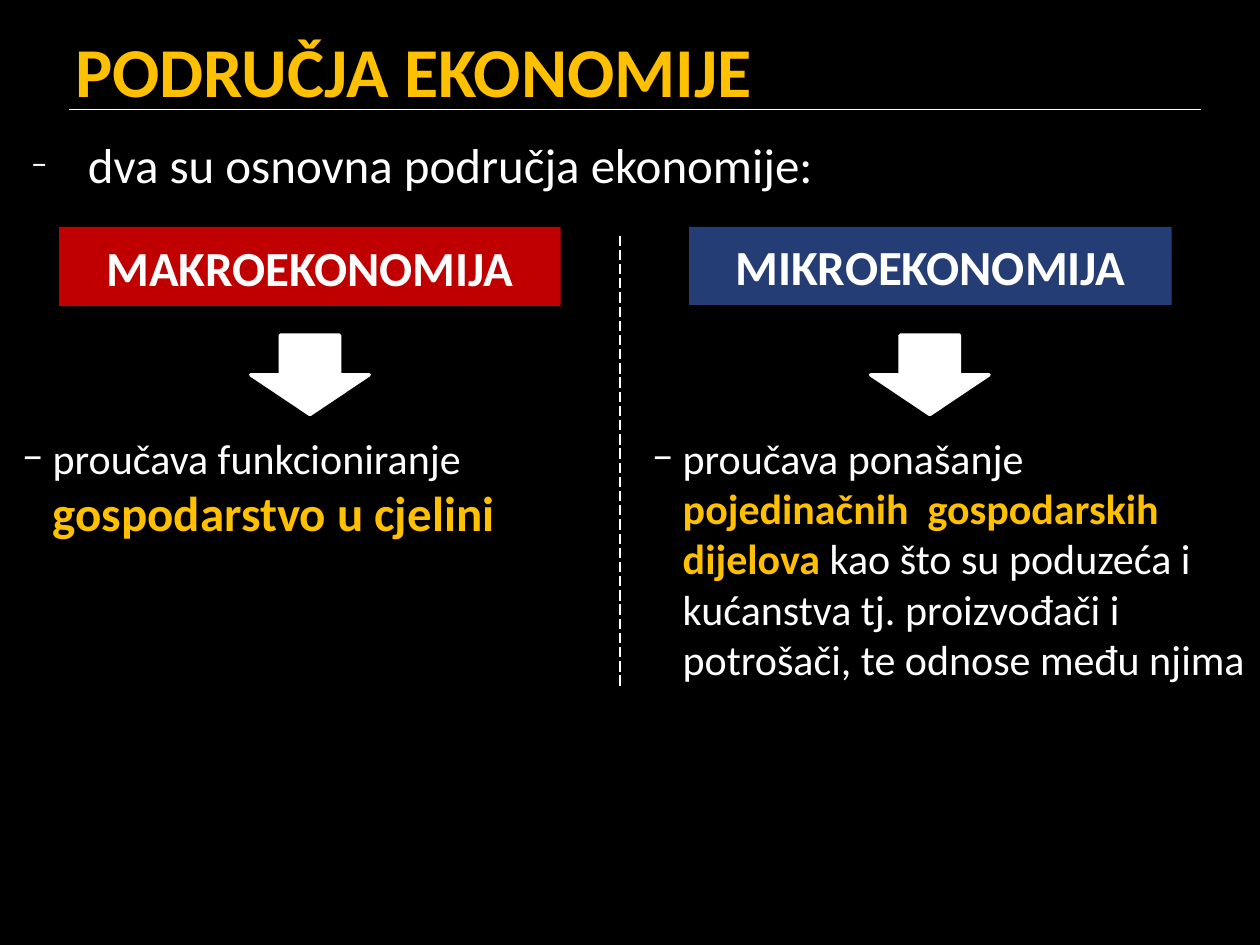
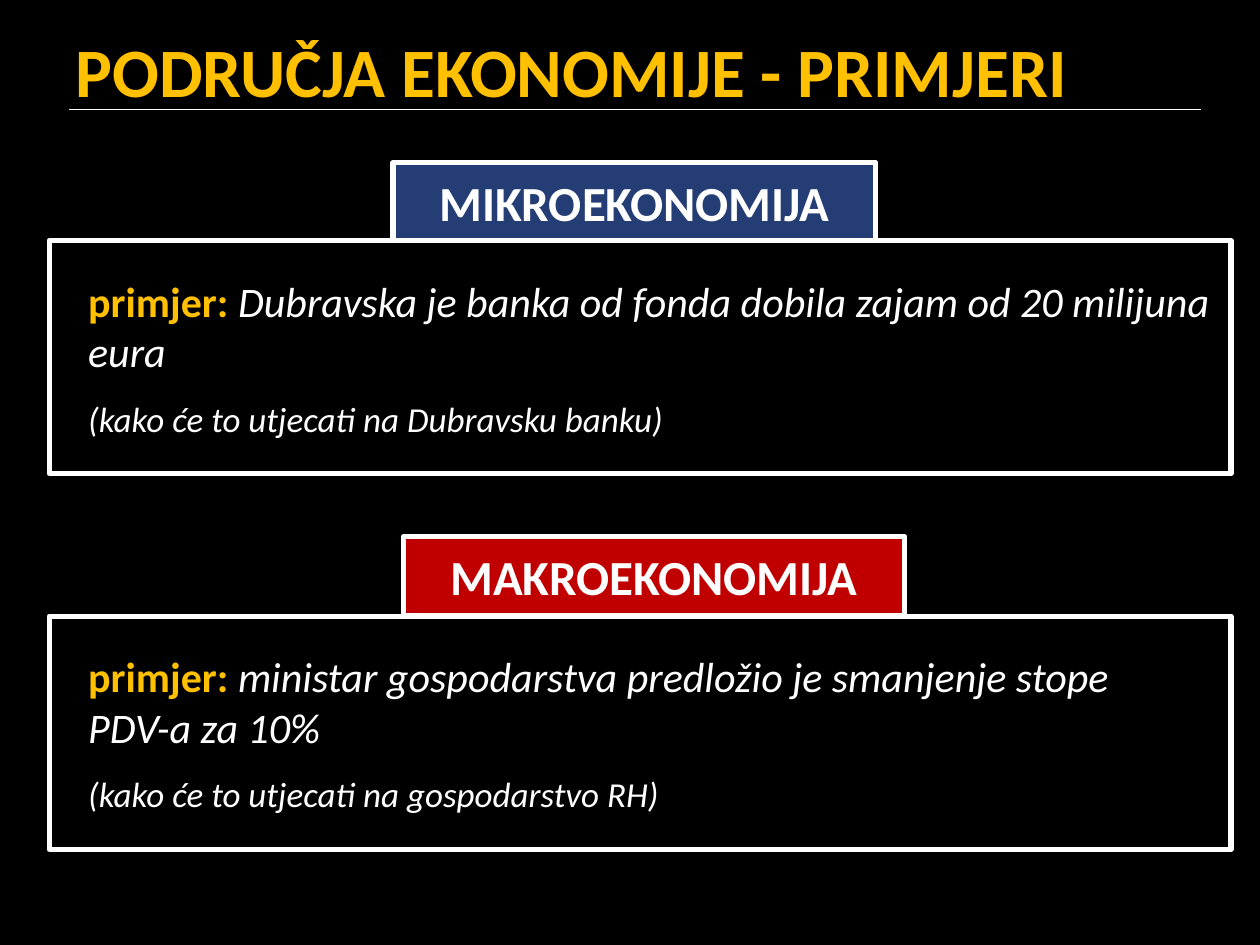
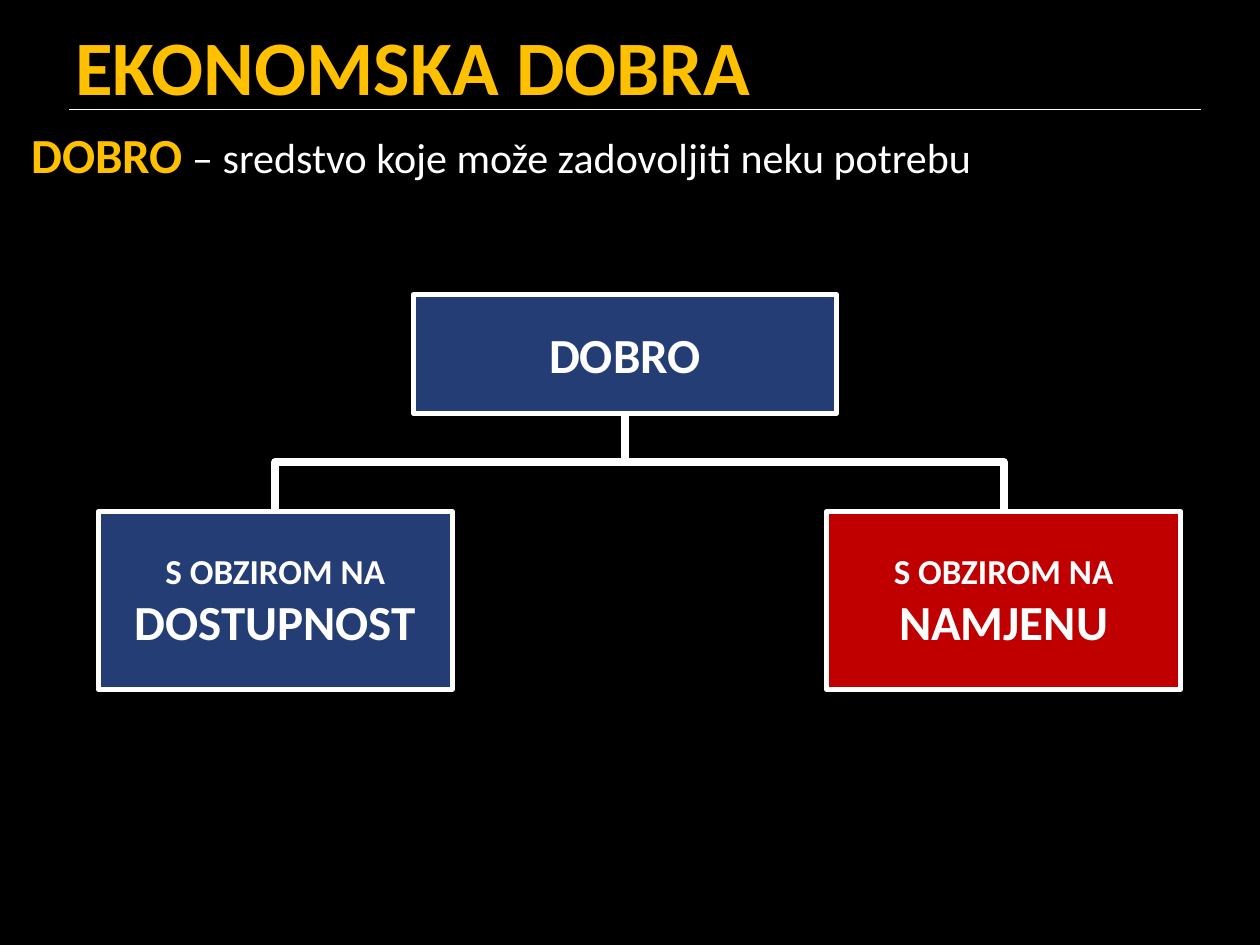
from lxml import etree
from pptx import Presentation
from pptx.dml.color import RGBColor
from pptx.enum.dml import MSO_LINE
from pptx.enum.shapes import MSO_CONNECTOR, MSO_SHAPE
from pptx.enum.text import MSO_ANCHOR, PP_ALIGN
from pptx.oxml.ns import qn
from pptx.util import Inches, Pt

RECTANGLE, DOWN_ARROW = MSO_SHAPE.RECTANGLE, MSO_SHAPE.DOWN_ARROW
STRAIGHT, ELBOW = MSO_CONNECTOR.STRAIGHT, MSO_CONNECTOR.ELBOW
TOP, MIDDLE = MSO_ANCHOR.TOP, MSO_ANCHOR.MIDDLE
LEFT, CENTER = PP_ALIGN.LEFT, PP_ALIGN.CENTER
LONG_DASH = MSO_LINE.LONG_DASH
BOTTOM_SIDE, TOP_SIDE = 2, 0

# Shared look
FONT = "Calibri"
BLACK, WHITE, GOLD = "000000", "FFFFFF", "FFC000"
RED, BLUE = "C00000", "253D75"
MACRO, MICRO = ("MAKROEKONOMIJA", RED), ("MIKROEKONOMIJA", BLUE)
MACRO_SIZE, MICRO_SIZE = (3.98, 0.63), (3.83, 0.62)


def color(hex_text):
    return RGBColor.from_string(hex_text)


def span(text, size=24, fill=WHITE, bold=False, italic=False):
    return text, fill, {"size": Pt(size), "bold": bold, "italic": italic, "name": FONT}


def add_bullet(para, tint, percent):
    properties = para._p.get_or_add_pPr()
    bullet_color = etree.SubElement(properties, qn("a:buClr"))
    etree.SubElement(bullet_color, qn("a:srgbClr"), val=tint)
    etree.SubElement(properties, qn("a:buSzPct"), val=str(percent * 1000))
    etree.SubElement(properties, qn("a:buFont"), typeface=FONT)
    etree.SubElement(properties, qn("a:buChar"), char="−")


def write(box, paragraphs, anchor=TOP, align=LEFT, gap=0, insets=(0.1, 0.05, 0.1, 0.05),
          indent=None, bullet=None):
    """Fill a box; each paragraph is a list of spans, and a "\\n" span breaks the line."""
    frame = box.text_frame
    left, top, right, bottom = map(Inches, insets)
    settings = {"word_wrap": True, "vertical_anchor": anchor, "margin_left": left,
                "margin_top": top, "margin_right": right, "margin_bottom": bottom}
    for name, value in settings.items():
        setattr(frame, name, value)
    for index, spans in enumerate(paragraphs):
        para = frame.add_paragraph() if index else frame.paragraphs[0]
        para.alignment = align
        if gap:
            para.space_before = Pt(gap)
        if indent:
            margin, first = indent
            properties = para._p.get_or_add_pPr()
            properties.set("marL", str(Inches(margin)))
            properties.set("indent", str(Inches(first)))
        if bullet:
            add_bullet(para, *bullet)
        for text, fill, formats in spans:
            if text == "\n":
                para.add_line_break()
                continue
            run = para.add_run()
            run.text = text
            run.font.color.rgb = color(fill)
            for name, value in formats.items():
                setattr(run.font, name, value)


def add_text(page, at, paragraphs, **options):
    box = page.shapes.add_textbox(*map(Inches, at))
    write(box, paragraphs, **options)


def set_line(shape, width, dash=None):
    shape.line.color.rgb = color(WHITE)
    shape.line.width = Pt(width)
    if dash:
        shape.line.dash_style = dash
    etree.SubElement(shape.line._get_or_add_ln(), qn("a:round"))


def add_block(page, at, fill=None, line=0, kind=RECTANGLE):
    block = page.shapes.add_shape(kind, *map(Inches, at))
    block.shadow.inherit = False
    if fill:
        block.fill.solid()
        block.fill.fore_color.rgb = color(fill)
    else:
        block.fill.background()
    if line:
        set_line(block, line)
    else:
        block.line.fill.background()
    return block


def add_label(page, at, fill, spans, line=0):
    label = add_block(page, at, fill, line)
    write(label, [spans], anchor=MIDDLE, align=CENTER)
    return label


def add_field(page, position, size, field, line=0):
    """A coloured heading naming one field of economics."""
    name, fill = field
    add_label(page, (*position, *size), fill, [span(name, 28, bold=True)], line)


def finish_connector(connector, width, dash=None):
    set_line(connector, width, dash)
    etree.SubElement(connector._element.spPr, qn("a:effectLst"))


def add_rule(page, start, end, width, dash=None):
    rule = page.shapes.add_connector(STRAIGHT, *map(Inches, start + end))
    finish_connector(rule, width, dash)


def add_branch(page, parent, child):
    """Elbow that leaves the parent downwards and enters the child from above."""
    start_x, start_y = parent.left + parent.width // 2, parent.top + parent.height
    end_x, end_y = child.left + child.width // 2, child.top
    drop, reach = end_y - start_y, abs(end_x - start_x)
    branch = page.shapes.add_connector(ELBOW, start_x, start_y, end_x, end_y)
    branch.begin_connect(parent, BOTTOM_SIDE)
    branch.end_connect(child, TOP_SIDE)
    # The preset runs sideways first, so it is turned a quarter
    places = {"left": (start_x + end_x - drop) // 2, "top": (start_y + end_y - reach) // 2,
              "width": drop, "height": reach}
    for name, value in places.items():
        setattr(branch, name, value)
    to_right = end_x > start_x
    turn = branch._element.spPr.find(qn("a:xfrm"))
    turn.set("rot", str((270 if to_right else 90) * 60000))
    turn.set("flipH", "1" if to_right else "0")
    finish_connector(branch, 4.5)


def add_page(deck, title, size, top=0.08):
    page = deck.slides.add_slide(deck.slide_layouts[6])
    add_rule(page, (0.55, 0.87), (9.53, 0.87), 1)
    add_text(page, (0.5, top, 8.88, 0.95), [[span(title, size, GOLD, bold=True)]],
             anchor=MIDDLE)
    return page


def build_fields(deck):
    page = add_page(deck, "PODRUČJA EKONOMIJE", 40)
    add_text(page, (0, 1.02, 9.84, 0.63), [[span("dva su osnovna područja ekonomije:", 28)]],
             gap=5.6, indent=(0.6, -0.45), bullet=("F9F9F9", 65))
    add_field(page, (0.47, 1.8), MACRO_SIZE, MACRO)
    add_field(page, (5.47, 1.8), MICRO_SIZE, MICRO)
    descriptions = [
        ((0.08, 3.38, 4.77, 1.38),
         [span("proučava funkcioniranje "),
          span("gospodarstvo u cjelini", 28, GOLD, bold=True)]),
        ((5.08, 3.38, 4.92, 2.12),
         [span("proučava ponašanje "),
          span("pojedinačnih  gospodarskih dijelova ", fill=GOLD, bold=True),
          span("kao što su poduzeća i kućanstva tj. proizvođači i potrošači, "
               "te odnose među njima")]),
    ]
    for at, spans in descriptions:
        add_text(page, at, [spans], indent=(0.24, -0.24), bullet=(WHITE, 100))
    add_rule(page, (4.92, 1.87), (4.92, 5.46), 0.75, LONG_DASH)
    for left in (1.99, 6.91):
        add_block(page, (left, 2.66, 0.94, 0.63), WHITE, 2, DOWN_ARROW)


def build_examples(deck):
    page = add_page(deck, "PODRUČJA EKONOMIJE - PRIMJERI", 39.6)
    examples = [
        (4.89, ["ministar gospodarstva predložio je smanjenje stope ", "\n", "PDV-a za 10%"],
         "(kako će to utjecati na gospodarstvo RH)"),
        (1.91, ["Dubravska je banka od fonda dobila zajam od 20 milijuna eura"],
         "(kako će to utjecati na Dubravsku banku)"),
    ]
    for top, texts, question in examples:
        box = add_block(page, (0.39, top, 9.38, 1.85), line=3)
        example = [span("primjer: ", fill=GOLD, bold=True)]
        example += [span(text, italic=True) for text in texts]
        write(box, [example, [span(question, 20, italic=True)]], anchor=MIDDLE, gap=12,
              insets=(0.31, 0.28, 0.1, 0.28))
    add_field(page, (3.2, 4.26), MACRO_SIZE, MACRO, line=3)
    add_field(page, (3.12, 1.29), MICRO_SIZE, MICRO, line=3)


def build_goods(deck):
    page = add_page(deck, "EKONOMSKA DOBRA", 44, top=0.04)
    add_text(page, (0, 0.94, 10, 0.7),
             [[span("DOBRO", 28, GOLD, bold=True),
               span(" – sredstvo koje može zadovoljiti neku potrebu")]],
             gap=12, indent=(0.6, -0.45))
    # Tree of goods
    root = add_label(page, (3.28, 2.34, 3.36, 0.94), BLUE, [span("DOBRO", 28, bold=True)], 3)
    for left, fill, criterion in ((0.78, BLUE, "DOSTUPNOST"), (6.56, RED, "NAMJENU")):
        spans = [span("S OBZIROM NA ", 20, bold=True), span(criterion, 28, bold=True)]
        child = add_label(page, (left, 4.06, 2.81, 1.41), fill, spans, 3)
        add_branch(page, root, child)


def main():
    deck = Presentation()
    deck.slide_width, deck.slide_height = Inches(10), Inches(7.5)
    backdrop = deck.slide_master.background.fill
    backdrop.solid()
    backdrop.fore_color.rgb = color(BLACK)
    build_fields(deck)
    build_examples(deck)
    build_goods(deck)
    deck.save("out.pptx")


if __name__ == "__main__":
    main()
